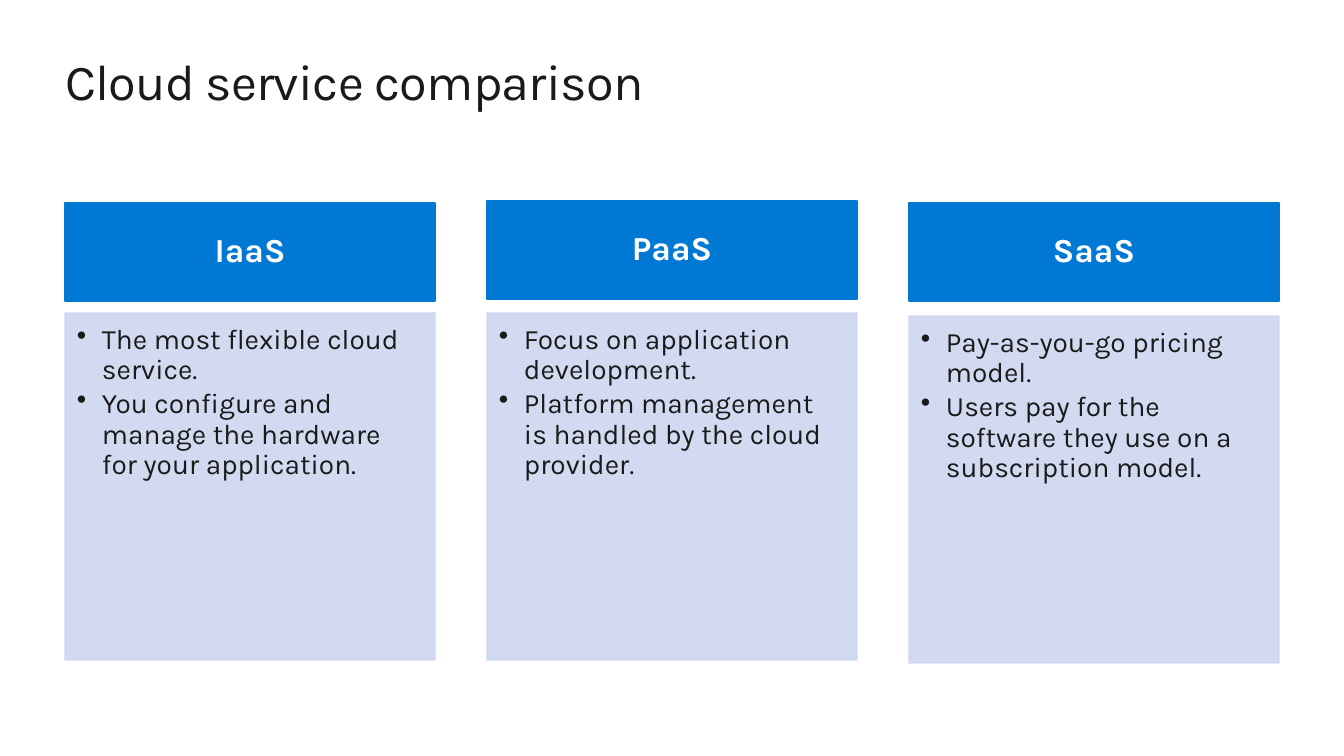
from lxml import etree
from pptx import Presentation, util as u
from pptx.dml.color import RGBColor
from pptx.enum import shapes, text
from pptx.oxml import ns

TITLE = "Cloud service comparison"
# heading, heading top, list top, list items
SERVICES = [
    ("IaaS", 203, 313, ["The most flexible cloud service.",
                        "You configure and manage the hardware for your application."]),
    ("PaaS", 201, 313, ["Focus on application development.",
                        "Platform management is handled by the cloud provider."]),
    ("SaaS", 203, 316, ["Pay-as-you-go pricing model.",
                        "Users pay for the software they use on a subscription model."]),
]

BLUE = RGBColor(0x00, 0x78, 0xD4)
PALE_BLUE = RGBColor(0xCC, 0xD6, 0xEF)
INK = RGBColor(0x1A, 0x1A, 0x1A)
WHITE = RGBColor(0xFF, 0xFF, 0xFF)
FONT = "Karla"

EMU_PER_PIXEL = 914400 / 100.8
SLIDE_WIDTH, SLIDE_HEIGHT = 1344, 756
COLUMN_LEFT, COLUMN_PITCH, COLUMN_WIDTH = 65, 422, 370
HEADING_HEIGHT, LIST_HEIGHT = 98, 347
HEADING_INSETS = (19, 11, 19, 11)
LIST_INSETS = (12, 12, 16, 17)
BULLET_INDENT = 25


def px(pixels):
    """Turn pixels into EMU."""
    return u.Emu(round(pixels * EMU_PER_PIXEL))


def set_frame(frame, insets, anchor):
    """Set wrapping, insets and vertical anchor of a text frame."""
    frame.word_wrap = True
    frame.vertical_anchor = anchor
    frame.margin_left, frame.margin_top, frame.margin_right, frame.margin_bottom = map(px, insets)


def add_run(paragraph, words, size, color, bold=False):
    """Add one formatted run and return it."""
    run = paragraph.add_run()
    run.text = words
    run.font.name, run.font.size, run.font.bold = FONT, u.Pt(size), bold
    run.font.color.rgb = color
    return run


def add_box(slide, left, top, height, color, opacity=100):
    """Add a column-wide box with matching fill and outline."""
    box = slide.shapes.add_shape(shapes.MSO_SHAPE.RECTANGLE,
                                 px(left), px(top), px(COLUMN_WIDTH), px(height))
    box.shadow.inherit = False
    box.fill.solid()
    box.fill.fore_color.rgb = color
    box.line.color.rgb = color
    box.line.width = u.Pt(0.85)
    if opacity < 100:
        for rgb in box.element.spPr.iter(ns.qn("a:srgbClr")):
            etree.SubElement(rgb, ns.qn("a:alpha"), val=str(opacity * 1000))
    return box


def format_paragraph(paragraph, alignment, space_after):
    """Set alignment and spacing of a paragraph."""
    paragraph.alignment = alignment
    paragraph.line_spacing = 0.9
    paragraph.space_after = u.Pt(space_after)


def add_bullet(paragraph):
    """Give a paragraph a bullet with a hanging indent."""
    paragraph.level = 1
    properties = paragraph._p.get_or_add_pPr()
    properties.set("marL", str(px(BULLET_INDENT)))
    properties.set("indent", str(-px(BULLET_INDENT)))
    etree.SubElement(properties, ns.qn("a:buChar"), char="•")


def add_title(slide):
    """Fill and place the title placeholder."""
    title = slide.shapes.title
    title.left, title.top, title.width, title.height = map(px, (65, 50, 1215, 62))
    frame = title.text_frame
    set_frame(frame, (0, 0, 0, 0), text.MSO_ANCHOR.TOP)
    frame.auto_size = text.MSO_AUTO_SIZE.SHAPE_TO_FIT_TEXT
    frame.paragraphs[0].alignment = text.PP_ALIGN.LEFT
    run = add_run(frame.paragraphs[0], TITLE, 36, INK)
    run.font._element.set("spc", "-50")


def add_service(slide, left, heading, heading_top, list_top, items):
    """Add one column: a heading box above a bulleted list box."""
    frame = add_box(slide, left, heading_top, HEADING_HEIGHT, BLUE).text_frame
    set_frame(frame, HEADING_INSETS, text.MSO_ANCHOR.MIDDLE)
    format_paragraph(frame.paragraphs[0], text.PP_ALIGN.CENTER, 8.4)
    add_run(frame.paragraphs[0], heading, 24, WHITE, bold=True)

    frame = add_box(slide, left, list_top, LIST_HEIGHT, PALE_BLUE, opacity=90).text_frame
    set_frame(frame, LIST_INSETS, text.MSO_ANCHOR.TOP)
    for index, item in enumerate(items):
        paragraph = frame.add_paragraph() if index else frame.paragraphs[0]
        format_paragraph(paragraph, text.PP_ALIGN.LEFT, 3)
        add_bullet(paragraph)
        add_run(paragraph, item, 20, INK)


presentation = Presentation()
presentation.slide_width, presentation.slide_height = px(SLIDE_WIDTH), px(SLIDE_HEIGHT)
slide = presentation.slides.add_slide(presentation.slide_layouts.get_by_name("Title Only"))
add_title(slide)
for column, service in enumerate(SERVICES):
    add_service(slide, COLUMN_LEFT + column * COLUMN_PITCH, *service)
presentation.save("out.pptx")
